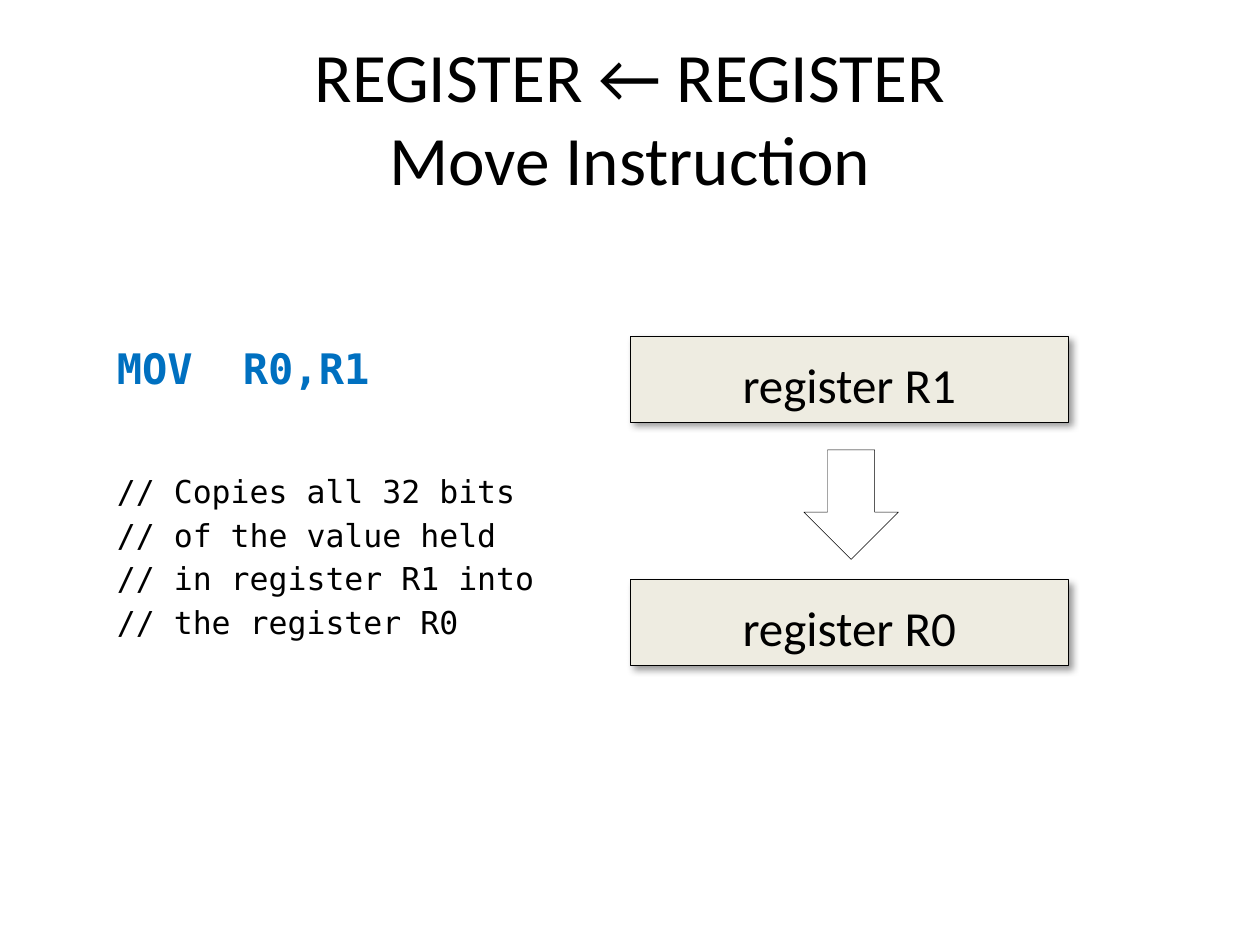
"""Build a slide that explains the register to register move instruction."""
from lxml import etree
from pptx import Presentation
from pptx import util as u
from pptx.dml.color import RGBColor
from pptx.enum import shapes, text
from pptx.oxml import ns

BLACK = RGBColor(0x00, 0x00, 0x00)
WHITE = RGBColor(0xFF, 0xFF, 0xFF)
BLUE = RGBColor(0x00, 0x70, 0xC0)
CREAM = RGBColor(0xEE, 0xEC, 0xE1)


class SlideBuilder:
    """Hold the style and the current slide."""

    body_font = "Calibri"
    code_font = "DejaVu Sans Mono"
    line_spacing = 1.15

    def __init__(self, slide):
        self.slide = slide
        self.diagram = slide.shapes.add_group_shape()

    def place(self, shape, left, top, width, height):
        shape.left, shape.top = u.Inches(left), u.Inches(top)
        shape.width, shape.height = u.Inches(width), u.Inches(height)

    def style(self, paragraph, name, size, color=BLACK, bold=False):
        font = paragraph.font
        font.name, font.size, font.bold = name, u.Pt(size), bold
        font.color.rgb = color

    def title(self, wording, *box):
        title = self.slide.shapes.title
        self.place(title, *box)
        frame = title.text_frame
        frame.text = wording
        frame.auto_size = text.MSO_AUTO_SIZE.NONE
        frame.vertical_anchor = text.MSO_ANCHOR.MIDDLE
        paragraph = frame.paragraphs[0]
        paragraph.alignment = text.PP_ALIGN.CENTER
        self.style(paragraph, self.body_font, 39.6)

    def code(self, instruction, comments, *box):
        frame = self.slide.shapes.add_textbox(*map(u.Inches, box)).text_frame
        frame.word_wrap = True
        frame.text = "\n".join([instruction, *comments])
        first, *others = frame.paragraphs
        self.style(first, self.code_font, 24, BLUE, bold=True)
        for paragraph in others:
            paragraph.line_spacing = self.line_spacing
            self.style(paragraph, self.code_font, 18)
        others[0].space_before = u.Pt(42)

    def block(self, kind, fill, *box):
        shape = self.diagram.shapes.add_shape(kind, *map(u.Inches, box))
        shape.fill.solid()
        shape.fill.fore_color.rgb = fill
        shape.line.color.rgb = BLACK
        shape.line.width = u.Pt(0.25)
        shape.shadow.inherit = False
        return shape

    def register(self, label, *box):
        shape = self.block(shapes.MSO_SHAPE.RECTANGLE, CREAM, *box)
        self.cast_shadow(shape)
        frame = shape.text_frame
        frame.text = label
        frame.vertical_anchor = text.MSO_ANCHOR.MIDDLE
        paragraph = frame.paragraphs[0]
        paragraph.alignment = text.PP_ALIGN.CENTER
        paragraph.line_spacing = self.line_spacing
        self.style(paragraph, self.body_font, 28)

    def arrow(self, *box):
        self.block(shapes.MSO_SHAPE.DOWN_ARROW, WHITE, *box)

    def cast_shadow(self, shape):
        effects = shape.element.spPr.find(ns.qn("a:effectLst"))
        shadow = etree.SubElement(
            effects, ns.qn("a:outerShdw"), blurRad=str(u.Pt(4)),
            dist=str(u.Pt(3)), dir=str(45 * 60000), algn="tl", rotWithShape="0")
        color = etree.SubElement(shadow, ns.qn("a:srgbClr"), val=str(BLACK))
        etree.SubElement(color, ns.qn("a:alpha"), val="40000")


def main():
    presentation = Presentation()
    presentation.slide_width = u.Inches(10)
    presentation.slide_height = u.Inches(7.5)
    builder = SlideBuilder(
        presentation.slides.add_slide(presentation.slide_layouts[5]))
    builder.title("REGISTER ← REGISTER\vMove Instruction", 0.5, 0.3, 9, 1.25)
    builder.code("MOV\tR0,R1", [
        "// Copies all 32 bits",
        "// of the value held",
        "// in register R1 into",
        "// the register R0",
    ], 0.83, 2.67, 3.67, 2.81)
    builder.register("register R0", 5, 4.6, 3.48, 0.68)
    builder.arrow(6.38, 3.57, 0.75, 0.87)
    builder.register("register R1", 5, 2.67, 3.48, 0.68)
    presentation.save("out.pptx")


if __name__ == "__main__":
    main()
